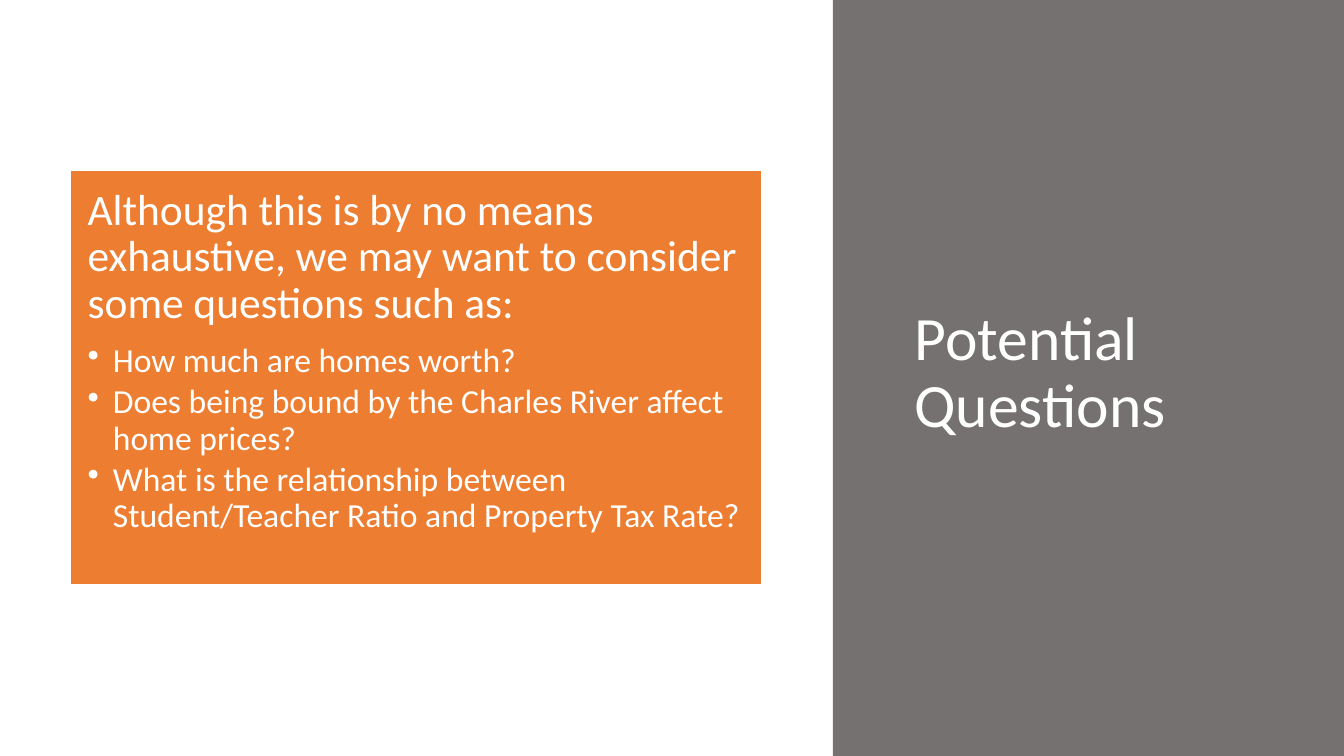
import lxml.etree
import pptx
import pptx.dml.color
import pptx.enum.shapes
import pptx.enum.text
import pptx.oxml.ns
import pptx.util
from pptx.util import Inches

WHITE = "FFFFFF"
GREY = "767171"
ORANGE = "ED7D31"
INTRO = "Although this is by no means exhaustive, we may want to consider some questions such as:"
QUESTIONS = [
    "How much are homes worth?",
    "Does being bound by the Charles River affect home prices?",
    "What is the relationship between Student/Teacher Ratio and Property Tax Rate?",
]


def color(hex_code):
    """Turn a hex string into a colour."""
    return pptx.dml.color.RGBColor.from_string(hex_code)


def add_panel(slide, left, top, width, height, fill, line=None):
    """Add a filled rectangle without shadow."""
    panel = slide.shapes.add_shape(
        pptx.enum.shapes.MSO_SHAPE.RECTANGLE,
        Inches(left), Inches(top), Inches(width), Inches(height))
    panel.shadow.inherit = False
    panel.fill.solid()
    panel.fill.fore_color.rgb = color(fill)
    if line:
        panel.line.color.rgb = color(line)
        panel.line.width = pptx.util.Pt(1)
    else:
        panel.line.fill.background()
    return panel


def write(paragraph, text, size, space_after=0, bullet=False):
    """Write a left-aligned white paragraph, bulleted if asked."""
    paragraph.alignment = pptx.enum.text.PP_ALIGN.LEFT
    paragraph.line_spacing = 0.9
    paragraph.space_before = pptx.util.Pt(0)
    paragraph.space_after = pptx.util.Pt(space_after)
    run = paragraph.add_run()
    run.text = text
    run.font.name = "Calibri"
    run.font.size = pptx.util.Pt(size)
    run.font.color.rgb = color(WHITE)
    if bullet:
        paragraph.level = 1
        properties = paragraph._p.get_or_add_pPr()
        properties.set("marL", str(Inches(0.25)))
        properties.set("indent", str(-Inches(0.25)))
        mark = lxml.etree.SubElement(properties, pptx.oxml.ns.qn("a:buChar"))
        mark.set("char", "•")


def add_title(slide, text):
    """Place the slide title in front of the side panel."""
    title = slide.shapes.title
    title.left, title.top = Inches(8.97), Inches(0.7)
    title.width, title.height = Inches(4.01), Inches(6.02)
    title.text_frame.vertical_anchor = pptx.enum.text.MSO_ANCHOR.MIDDLE
    write(title.text_frame.paragraphs[0], text, 44)
    slide.shapes._spTree.append(title._element)


def add_questions(slide):
    """Add the orange box with its introduction and questions."""
    box = add_panel(slide, 0.7, 1.69, 6.86, 4.11, ORANGE, line=WHITE)
    frame = box.text_frame
    frame.word_wrap = True
    frame.vertical_anchor = pptx.enum.text.MSO_ANCHOR.TOP
    frame.margin_left = frame.margin_right = Inches(0.17)
    frame.margin_top = frame.margin_bottom = Inches(0.17)
    write(frame.paragraphs[0], INTRO, 31, space_after=11)
    for question in QUESTIONS:
        write(frame.add_paragraph(), question, 24, space_after=3.6, bullet=True)


def main():
    """Build and save the slide."""
    deck = pptx.Presentation()
    deck.slide_width, deck.slide_height = Inches(13.33), Inches(7.5)
    slide = deck.slides.add_slide(deck.slide_layouts[5])
    add_panel(slide, 8.26, 0, 5.07, 7.5, GREY)
    add_title(slide, "Potential Questions")
    add_questions(slide)
    deck.save("out.pptx")


if __name__ == "__main__":
    main()
